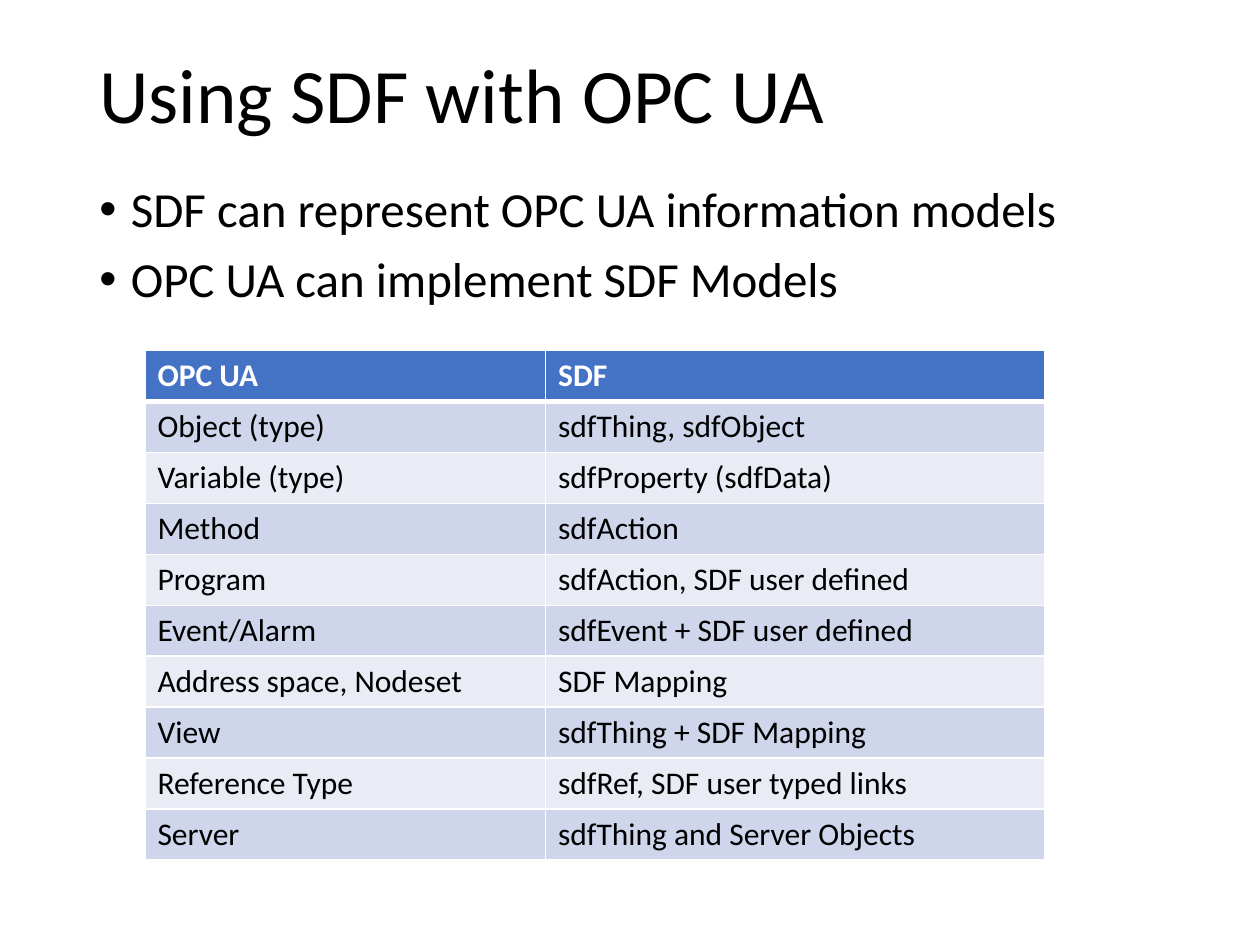
from pptx import Presentation, util as u
from pptx.dml.color import RGBColor
from pptx.enum import text
from lxml import etree

BLACK = RGBColor(0, 0, 0)
WHITE = RGBColor(255, 255, 255)
BLUE = RGBColor(0x44, 0x72, 0xC4)
BANDS = [RGBColor(0xE9, 0xEB, 0xF5), RGBColor(0xCF, 0xD5, 0xEA)]
NS = "http://schemas.openxmlformats.org/drawingml/2006/main"
COLS, ROWS = 100, 75

TITLE = "Using SDF with OPC UA"
POINTS = ["SDF can represent OPC UA information models",
          "OPC UA can implement SDF Models"]
PAIRS = [("OPC UA", "SDF"),
         ("Object (type)", "sdfThing, sdfObject"),
         ("Variable (type)", "sdfProperty (sdfData)"),
         ("Method", "sdfAction"),
         ("Program", "sdfAction, SDF user defined"),
         ("Event/Alarm", "sdfEvent + SDF user defined"),
         ("Address space, Nodeset", "SDF Mapping"),
         ("View", "sdfThing + SDF Mapping"),
         ("Reference Type", "sdfRef, SDF user typed links"),
         ("Server", "sdfThing and Server Objects")]


def put(item, form):
    for key, val in form.items():
        setattr(item, key, val)


class Deck:
    face = "Calibri"

    def __init__(self, wide, high):
        self.prs = Presentation()
        put(self.prs, {"slide_width": u.Inches(wide), "slide_height": u.Inches(high)})
        self.slide = self.prs.slides.add_slide(self.prs.slide_layouts[6])

    def x(self, col):
        return round(self.prs.slide_width * col / COLS)

    def y(self, row):
        return round(self.prs.slide_height * row / ROWS)

    def label(self, para, words, size, color=BLACK, bold=False):
        run = para.add_run()
        run.text = words
        put(run.font, {"name": self.face, "size": u.Pt(size), "bold": bold})
        run.font.color.rgb = color

    def box(self, left, top, wide, high, lines, size, anchor, form, dot=False):
        shape = self.slide.shapes.add_textbox(
            self.x(left), self.y(top), self.x(wide), self.y(high))
        frame = shape.text_frame
        put(frame, {"word_wrap": True, "vertical_anchor": anchor})
        for i, line in enumerate(lines):
            para = frame.add_paragraph() if i else frame.paragraphs[0]
            put(para, form)
            self.label(para, line, size)
            if dot:
                self.bullet(para)

    def bullet(self, para):
        props = para._p.get_or_add_pPr()
        hang = u.Inches(0.25)
        props.set("marL", str(hang))
        props.set("indent", str(-hang))
        etree.SubElement(props, f"{{{NS}}}buFont").set("typeface", "Arial")
        etree.SubElement(props, f"{{{NS}}}buChar").set("char", "•")

    def edge(self, cell, widths):
        props = cell._tc.get_or_add_tcPr()
        for i, (side, width) in enumerate(widths.items()):
            line = etree.Element(f"{{{NS}}}ln{side}", w=str(u.Pt(width)))
            fill = etree.SubElement(line, f"{{{NS}}}solidFill")
            etree.SubElement(fill, f"{{{NS}}}srgbClr").set("val", str(WHITE))
            props.insert(i, line)

    def table(self, left, top, widths, step, rows):
        grid = self.slide.shapes.add_table(
            len(rows), len(widths), self.x(left), self.y(top),
            self.x(sum(widths)), self.y(step * len(rows))).table
        for col, wide in zip(grid.columns, widths):
            col.width = self.x(wide)
        for r, row in enumerate(rows):
            grid.rows[r].height = self.y(step)
            for c, words in enumerate(row):
                cell = grid.cell(r, c)
                cell.fill.solid()
                cell.fill.fore_color.rgb = BANDS[r % 2] if r else BLUE
                self.label(cell.text_frame.paragraphs[0], words, 18,
                           BLACK if r else WHITE, r == 0)
                self.edge(cell, {"L": 1, "R": 1, "T": 3 if r == 1 else 1,
                                 "B": 1 if r else 3})


deck = Deck(10, 7.5)
anchor = text.MSO_ANCHOR
deck.box(6.9, 0.6, 86.2, 14.5, [TITLE], 44, anchor.MIDDLE, {"line_spacing": 0.9})
deck.box(6.9, 14.2, 86.2, 18, POINTS, 28, anchor.TOP,
         {"line_spacing": 0.9, "space_before": u.Pt(10)}, dot=True)
deck.table(11.5, 27.8, [31.8, 39.6], 4.05, PAIRS)
deck.prs.save("out.pptx")
